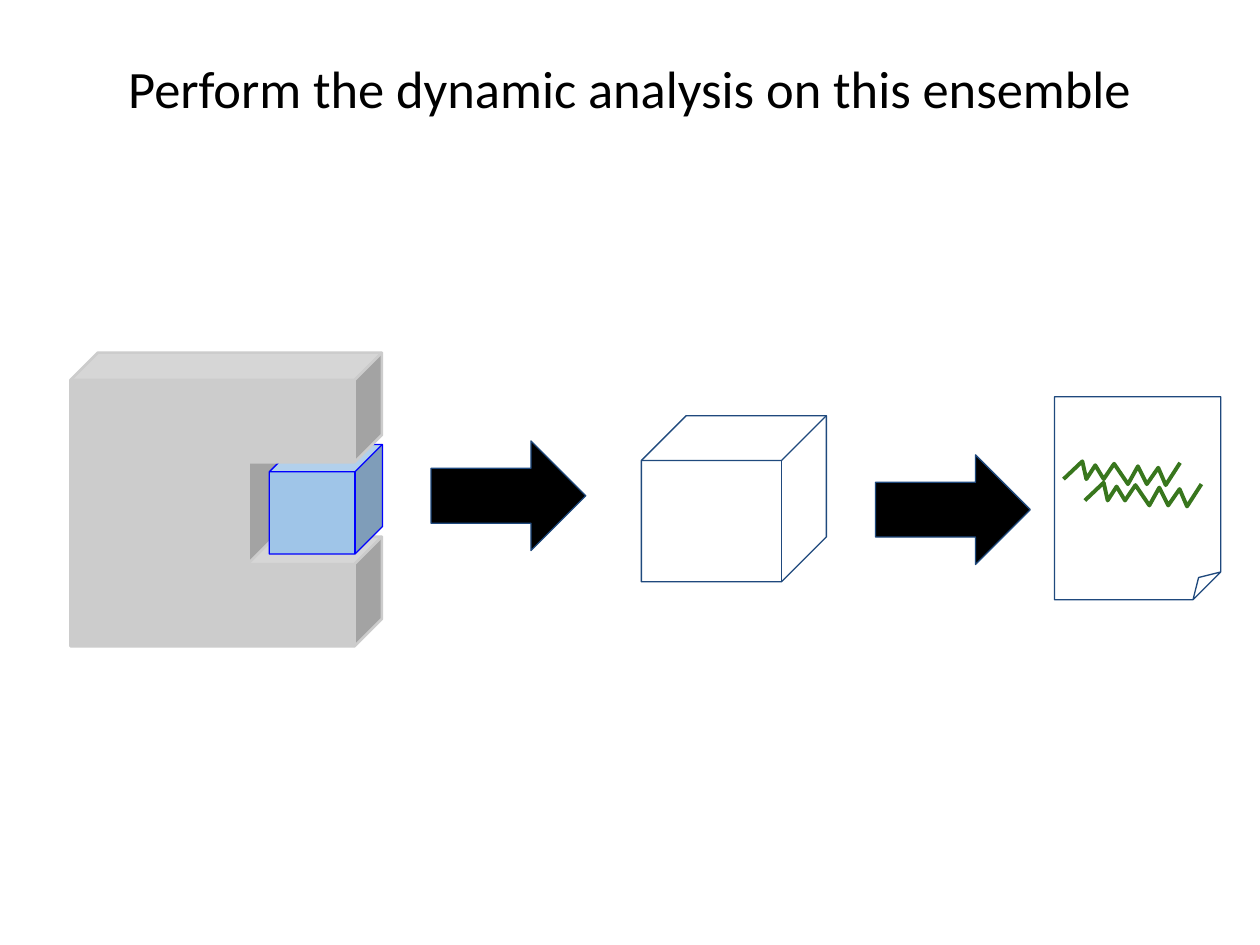
from lxml import etree
from pptx import Presentation
from pptx import util as u
from pptx.dml.color import RGBColor
from pptx.enum import shapes, text
from pptx.oxml import ns

COLORS = {"black": "000000", "gray": "CCCCCC", "light": "9FC5E8",
          "blue": "0000FF", "navy": "1F497D", "green": "38761D"}
SHAPE = shapes.MSO_SHAPE

# Zigzag trace, in hundredths of a centimetre
TRACE = [(0, 36), (38, 0), (46, 36), (64, 8), (81, 36), (102, 5),
         (130, 46), (150, 10), (168, 46), (191, 13), (206, 48), (235, 3)]


def color(name):
    return RGBColor.from_string(COLORS[name])


def style(sp, fill=None, line="navy", weight=0.75):
    sp.shadow.inherit = False
    if fill:
        sp.fill.solid()
        sp.fill.fore_color.rgb = color(fill)
    else:
        sp.fill.background()
    sp.line.color.rgb = color(line)
    sp.line.width = u.Pt(weight)


def add_shape(s, kind, box, **fmt):
    sp = s.shapes.add_shape(kind, *(u.Cm(v) for v in box))
    style(sp, **fmt)
    return sp


def set_depth(sp, depth):
    """Set the depth of a cube, which has no public adjustment."""
    guides = sp._element.spPr.find(ns.qn("a:prstGeom")).find(ns.qn("a:avLst"))
    for gd in list(guides):
        guides.remove(gd)
    etree.SubElement(guides, ns.qn("a:gd"), name="adj",
                     fmla=f"val {round(depth * 100000)}")


def add_text(s, box, words, size=30, font="Calibri", fill="black",
             align=text.PP_ALIGN.CENTER):
    tf = s.shapes.add_textbox(*(u.Cm(v) for v in box)).text_frame
    tf.word_wrap = True
    tf.vertical_anchor = text.MSO_ANCHOR.MIDDLE
    tf.margin_left = tf.margin_right = u.Cm(0.25)
    tf.margin_top = tf.margin_bottom = u.Cm(0.25)
    p = tf.paragraphs[0]
    p.alignment = align
    r = p.add_run()
    r.text = words
    r.font.size = u.Pt(size)
    r.font.name = font
    r.font.color.rgb = color(fill)


def add_block(s, x, y, w):
    """Gray block with one blue cell set into its right side."""
    gray = dict(fill="gray", line="gray", weight=1.5)
    bar_h = 2.21
    # Back to front: bottom bar, middle part, cell, top bar
    add_shape(s, SHAPE.CUBE, (x, y + 3.71, w, bar_h), **gray)
    add_shape(s, SHAPE.CUBE, (x, y + 1.48, w - 2, 2.77), **gray)
    add_shape(s, SHAPE.CUBE, (x + w - 2.27, y + 1.85, 2.28, bar_h),
              fill="light", line="blue")
    add_shape(s, SHAPE.CUBE, (x, y, w, bar_h), **gray)


def add_arrow(s, x, y):
    add_shape(s, SHAPE.RIGHT_ARROW, (x, y, 3.12, 2.21), fill="black")


def add_trace(s, x, y):
    points = [(round(x * 100) + dx, round(y * 100) + dy) for dx, dy in TRACE]
    fb = s.shapes.build_freeform(*points[0], scale=u.Cm(0.01))
    fb.add_line_segments(points[1:], close=False)
    style(fb.convert_to_shape(), line="green", weight=2.25)


def add_report(s, x, y, w, h):
    """Page with two shifted traces."""
    add_shape(s, SHAPE.FOLDED_CORNER, (x, y, w, h))
    for i in range(2):
        add_trace(s, x + 0.18 + 0.43 * i, y + 1.3 + 0.43 * i)


def main():
    prs = Presentation()
    prs.slide_width, prs.slide_height = u.Cm(25.4), u.Cm(19.05)
    s = prs.slides.add_slide(prs.slide_layouts[6])

    # Flow from block to sample to report
    add_block(s, 1.42, 7.11, 6.28)
    add_arrow(s, 8.69, 8.89)
    set_depth(add_shape(s, SHAPE.CUBE, (12.93, 8.38, 3.73, 3.35)), 0.27)
    add_arrow(s, 17.65, 9.17)
    add_report(s, 21.26, 8, 3.35, 4.09)

    # Title
    add_text(s, (1.27, 0.76, 22.86, 2.01),
             "Perform the dynamic analysis on this ensemble")
    prs.save("out.pptx")


if __name__ == "__main__":
    main()
